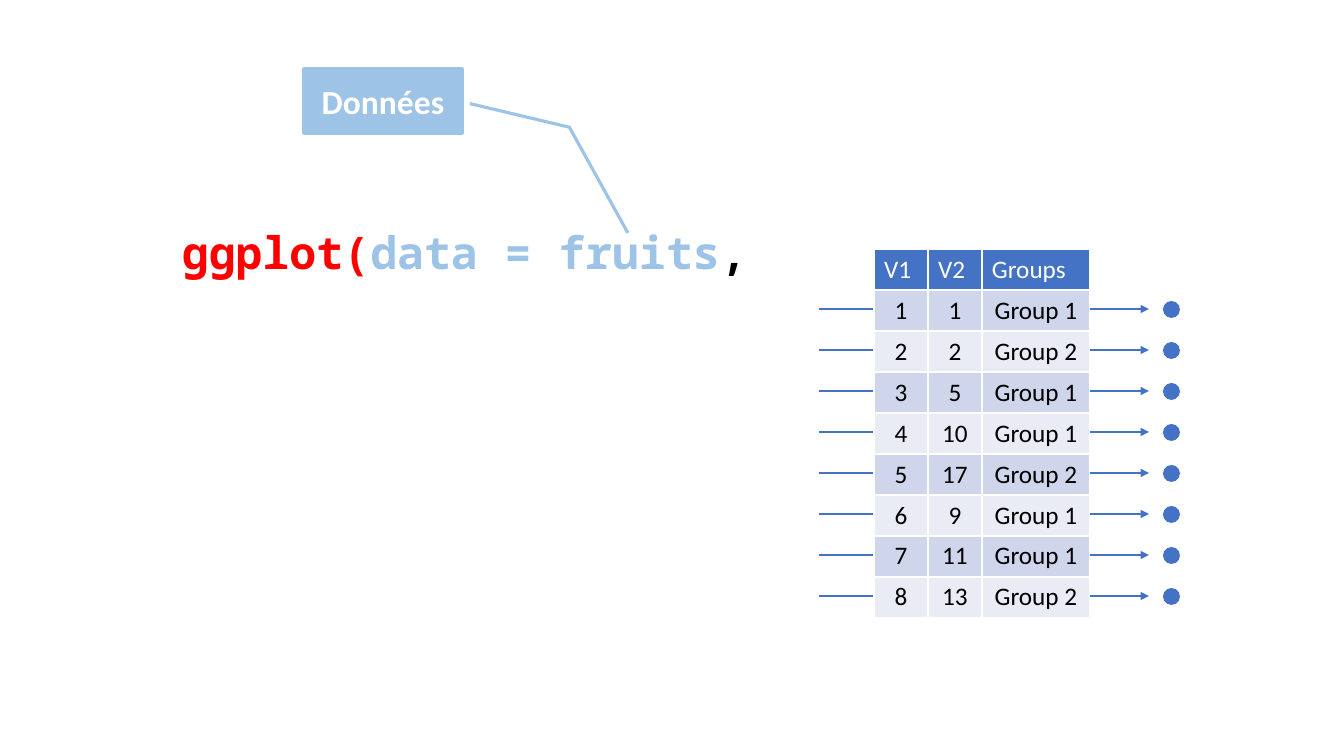
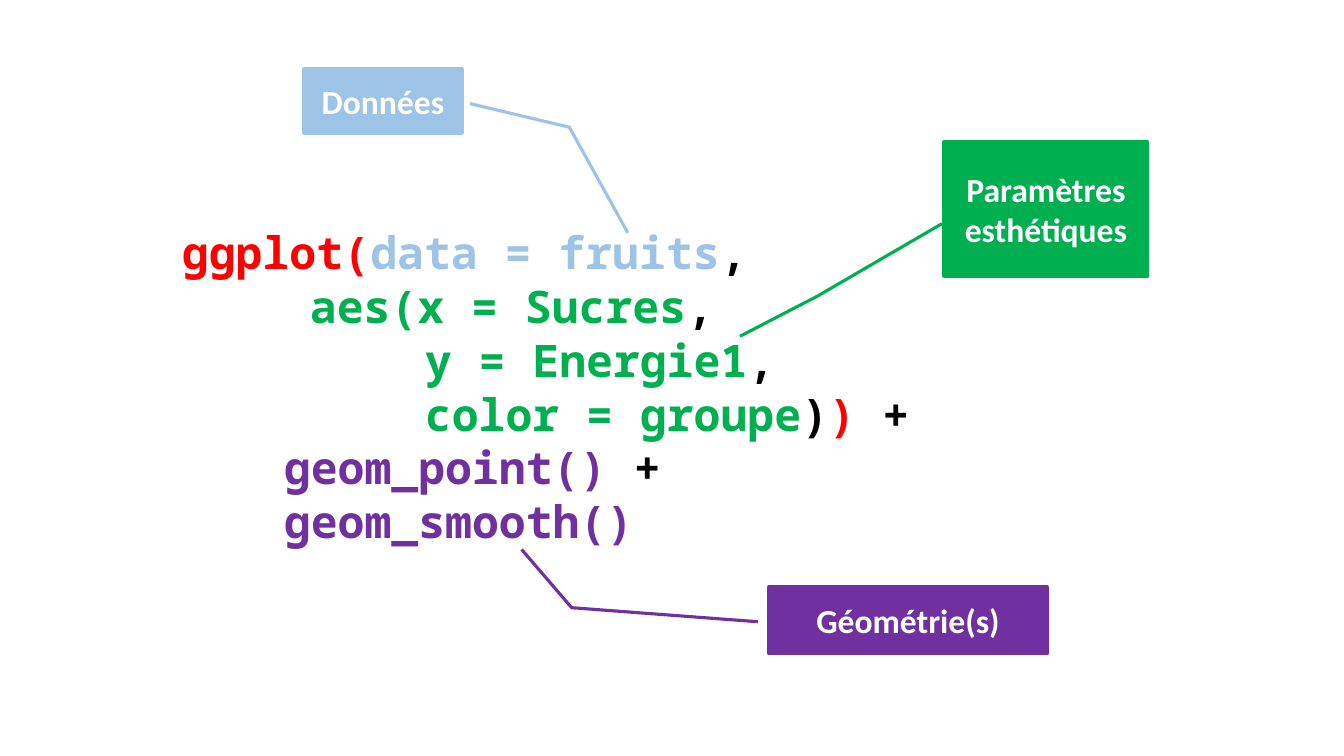
"""Build two slides that explain the parts of a ggplot call."""
from pptx import Presentation
from pptx.dml.color import RGBColor as Rgb
from pptx.enum.shapes import MSO_CONNECTOR as Link, MSO_SHAPE as Form
from pptx.enum.text import MSO_ANCHOR as Anchor, PP_ALIGN as Align
from pptx.oxml.ns import qn
from pptx.util import Pt
from lxml.etree import SubElement as sub

HUES = {
    "call": "FF0000", "data": "9DC3E6", "aes": "00B050", "geom": "7030A0",
    "ink": "000000", "paper": "FFFFFF", "main": "4472C4",
    "odd": "CFD5EA", "even": "E9EBF5",
}
SANS, MONO = "Calibri", "Noto Sans Mono"
PITCH = 41

FIRST = (0, [("ggplot(", "call"), ("data = fruits", "data"), (",", "ink")])
REST = [
    (128, [("aes(x = Sucres", "aes"), (",", "ink")]),
    (243, [("y = Energie1", "aes"), (",", "ink")]),
    (243, [("color = groupe", "aes"), (")", "ink"), (")", "call"), (" +", "ink")]),
    (102, [("geom_point() ", "geom"), ("+", "ink")]),
    (102, [("geom_smooth()", "geom")]),
]
HEAD = ("V1", "V2", "Groups")
ROWS = [
    (1, 1, "Group 1"), (2, 2, "Group 2"), (3, 5, "Group 1"), (4, 10, "Group 1"),
    (5, 17, "Group 2"), (6, 9, "Group 1"), (7, 11, "Group 1"), (8, 13, "Group 2"),
]
DATA = ("Données", "data", (304, 69, 158, 64), (0.54, 1.05, 0.91, 1.68, 2.56, 2.05))
NOTES = [
    ("Paramètres esthétiques", "aes", (944, 142, 204, 134),
     (0.61, -0.01, 1.15, -0.62, 1.45, -1)),
    ("Géométrie(s)", "geom", (769, 587, 278, 67),
     (0.52, -0.04, 0.31, -0.71, -0.56, -0.89)),
]


def px(*vals):
    """Turn pixels into a list of EMU."""
    return [round(val * 12192000 / 1344) for val in vals]


def hue(key):
    """Give the colour behind a key."""
    return Rgb.from_string(HUES[key])


def style(run, size, key, face=SANS, bold=False):
    """Format the font of one run."""
    font = run.font
    font.size, font.name, font.bold = Pt(size), face, bold
    font.color.rgb = hue(key)


def shape(slide, form, box, key):
    """Add a plain filled shape."""
    item = slide.shapes.add_shape(form, *px(*box))
    item.shadow.inherit = False
    item.fill.solid()
    item.fill.fore_color.rgb = hue(key)
    item.line.fill.background()
    return item


def note(slide, text, key, box, bends):
    """Add a label whose bent line points at the code."""
    item = shape(slide, Form.LINE_CALLOUT_2, box, key)
    item.line.color.rgb = hue(key)
    item.line.width = Pt(2.25)
    for pos, bend in enumerate(bends):
        item.adjustments[pos] = bend
    frame = item.text_frame
    frame.text = text
    frame.word_wrap = True
    frame.vertical_anchor = Anchor.MIDDLE
    para = frame.paragraphs[0]
    para.alignment = Align.CENTER
    style(para.runs[0], 24, "paper", bold=True)


def code(slide, lines, high):
    """Add code lines, each with an indent and coloured parts."""
    frame = slide.shapes.add_textbox(*px(172, 220, 772, high)).text_frame
    frame.word_wrap = True
    for pos, (dent, parts) in enumerate(lines):
        para = frame.add_paragraph() if pos else frame.paragraphs[0]
        para._p.get_or_add_pPr().set("marL", str(px(dent)[0]))
        for text, key in parts:
            run = para.add_run()
            run.text = text
            style(run, 32, key, MONO, True)


def arrow(slide, left, right, y):
    """Add a level arrow that points right."""
    item = slide.shapes.add_connector(Link.STRAIGHT, *px(left, y, right, y))
    item.line.color.rgb = hue("main")
    item.line.width = Pt(1.5)
    sub(item.line._get_or_add_ln(), qn("a:tailEnd"), type="triangle")
    sub(item._element.spPr, qn("a:effectLst"))


def cell(item, text, fill, ink, align):
    """Fill one table cell."""
    item.fill.solid()
    item.fill.fore_color.rgb = hue(fill)
    item.text = str(text)
    para = item.text_frame.paragraphs[0]
    para.alignment = align
    style(para.runs[0], 18, ink)


def table(slide, left, top, widths):
    """Add the banded data table."""
    count = len(ROWS) + 1
    box = px(left, top, sum(widths), PITCH * count)
    grid = slide.shapes.add_table(count, len(HEAD), *box).table
    for col, width in zip(grid.columns, px(*widths)):
        col.width = width
    for r, row in enumerate([HEAD] + ROWS):
        grid.rows[r].height = px(PITCH)[0]
        look = (("odd" if r % 2 else "even", "ink", Align.CENTER) if r
                else ("main", "paper", Align.LEFT))
        for c, text in enumerate(row):
            cell(grid.cell(r, c), text, *look)


def page(deck, lines, high):
    """Add a slide with its code and the data label."""
    slide = deck.slides.add_slide(deck.slide_layouts[6])
    code(slide, lines, high)
    note(slide, *DATA)
    return slide


def main():
    """Build and save the deck."""
    deck = Presentation()
    deck.slide_width, deck.slide_height = px(1344, 756)

    slide = page(deck, [FIRST], 119)
    mids = [309 + PITCH * pos for pos in range(len(ROWS))]
    for y in mids:
        arrow(slide, 819, 1149, y)
    table(slide, 874, 249, (54, 54, 108))
    for y in mids:
        shape(slide, Form.OVAL, (1163, y - 8, 17, 17), "main")

    slide = page(deck, [FIRST] + REST, 336)
    for args in NOTES:
        note(slide, *args)
    deck.save("out.pptx")


main()
